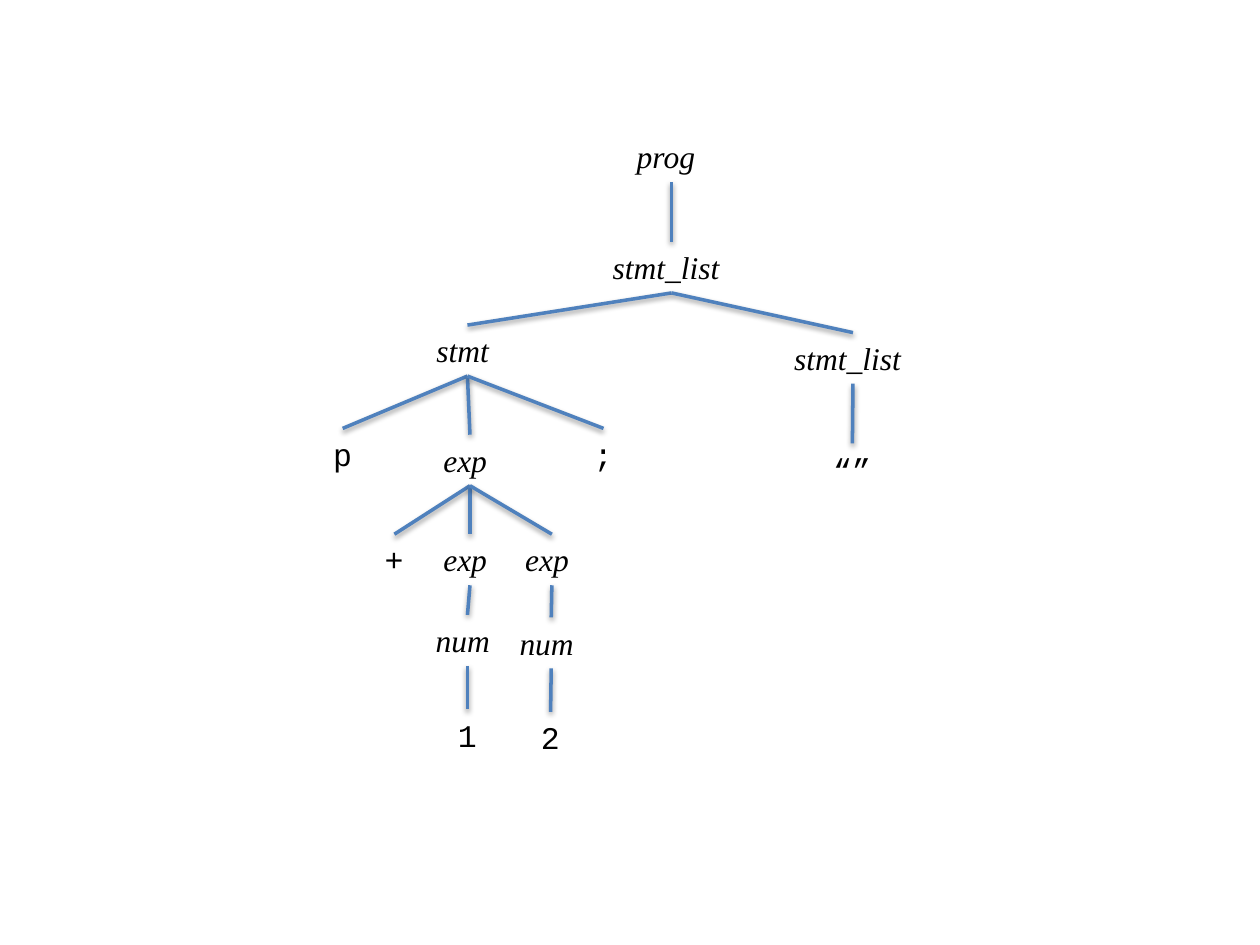
from dataclasses import dataclass
from typing import Any

from lxml import etree
from pptx import Presentation, util as u
from pptx.dml.color import RGBColor
from pptx.enum import shapes, text
from pptx.oxml.ns import qn

COLORS = {"ink": "000000", "branch": "4F81BD", "shadow": "000000"}
FONTS = {"rule": "Times New Roman", "token": "Courier New"}
WIDTHS = {"prog": 7.5, "stmt_list": 11.3, "stmt": 6.9, "exp": 6.2, "num": 7, "“”": 5}
TOKEN_WIDTH = 3.5
NODE_HEIGHT = 4.05
BOTTOM, TOP = 2, 0

TREE = [
    ("root", None, "prog", 53.3, 10.4),
    ("list", "root", "stmt_list", 53.3, 19.2),
    ("statement", "list", "stmt", 37.1, 25.8),
    ("rest", "list", "stmt_list", 67.7, 26.4),
    ("print", "statement", "p", 27.2, 34),
    ("sum", "statement", "exp", 37.3, 34.5),
    ("end", "statement", ";", 47.9, 34),
    ("plus", "sum", "+", 31.3, 42.4),
    ("left", "sum", "exp", 37.3, 42.4),
    ("right", "sum", "exp", 43.8, 42.4),
    ("left number", "left", "num", 37.1, 48.8),
    ("right number", "right", "num", 43.75, 49),
    ("one", "left number", "1", 37.1, 56.3),
    ("two", "right number", "2", 43.7, 56.5),
    ("empty", "rest", "“”", 67.65, 35.2),
]


@dataclass
class ParseTree:
    page: Any
    cell: int
    size: int = 18
    weight: float = 2

    def node(self, label, column, row):
        width = WIDTHS.get(label, TOKEN_WIDTH)
        box = self.page.shapes.add_textbox(
            *(round(n * self.cell) for n in (column - width / 2, row, width, NODE_HEIGHT)))
        frame = box.text_frame
        frame.word_wrap = False
        frame.auto_size = text.MSO_AUTO_SIZE.SHAPE_TO_FIT_TEXT
        frame.text = label
        is_rule = label in WIDTHS and label.isidentifier()
        font = frame.paragraphs[0].runs[0].font
        font.name = FONTS["rule" if is_rule else "token"]
        font.size = u.Pt(self.size)
        font.italic = is_rule
        font.color.rgb = RGBColor.from_string(COLORS["ink"])
        return box

    def branch(self, parent, child):
        line = self.page.shapes.add_connector(shapes.MSO_CONNECTOR.STRAIGHT, 0, 0, 0, 0)
        line.begin_connect(parent, BOTTOM)
        line.end_connect(child, TOP)
        line.line.width = u.Pt(self.weight)
        line.line.color.rgb = RGBColor.from_string(COLORS["branch"])
        self.shadow(line)

    def shadow(self, line):
        effects = etree.SubElement(line._element.spPr, qn("a:effectLst"))
        outer = etree.SubElement(
            effects, qn("a:outerShdw"), blurRad=str(u.Pt(3.1)), dist=str(u.Pt(1.6)),
            dir="5400000", rotWithShape="0")
        color = etree.SubElement(outer, qn("a:srgbClr"), val=COLORS["shadow"])
        etree.SubElement(color, qn("a:alpha"), val="38000")


def main():
    deck = Presentation()
    deck.slide_width, deck.slide_height = u.Inches(10), u.Inches(7.5)
    page = deck.slides.add_slide(deck.slide_layouts[6])
    tree = ParseTree(page, deck.slide_width // 100)
    nodes = {}
    for name, parent, label, column, row in TREE:
        nodes[name] = tree.node(label, column, row)
        if parent:
            tree.branch(nodes[parent], nodes[name])
    deck.save("out.pptx")


if __name__ == "__main__":
    main()
